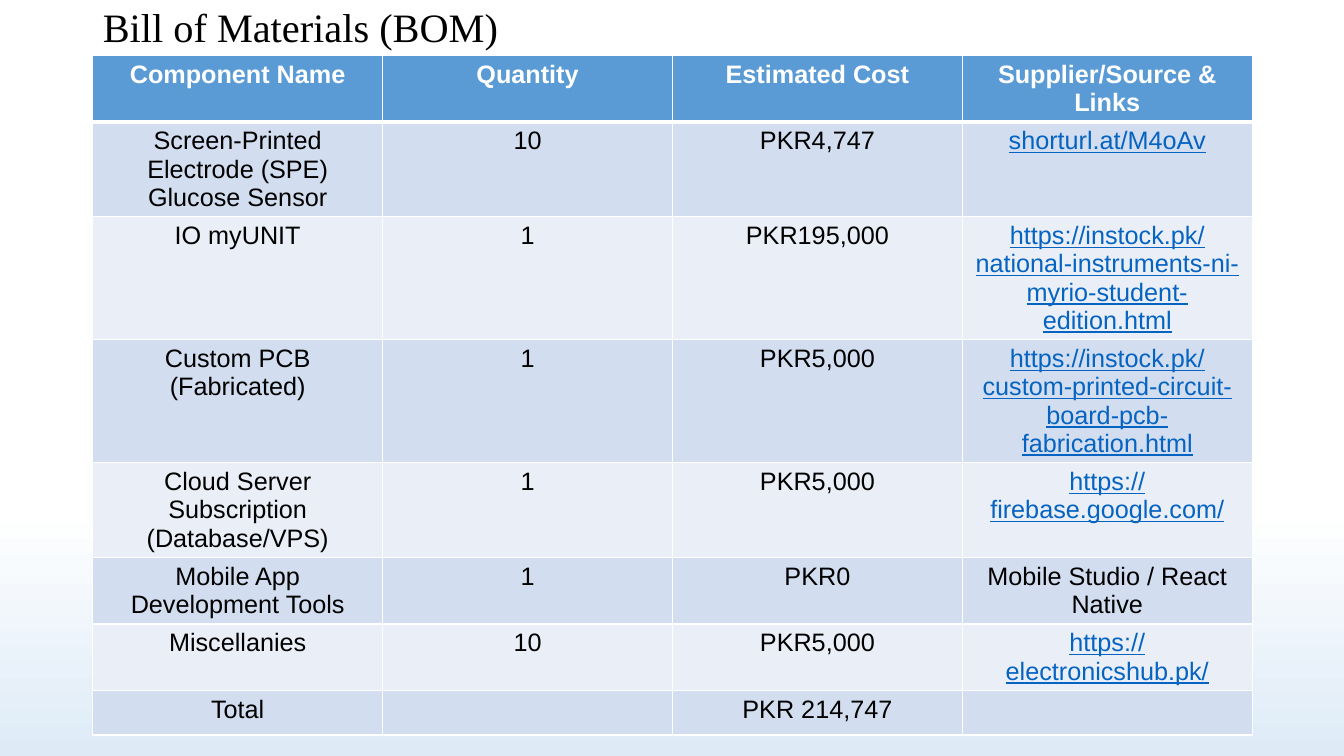
from lxml import etree
from pptx import Presentation
from pptx import util as u
from pptx.dml.color import RGBColor
from pptx.enum import text
from pptx.oxml.ns import qn

WHITE, BLACK, LINK = "FFFFFF", "000000", "0563C1"
HEADER, BANDS = "5B9BD5", ("D2DEEF", "EAEFF7")
LEFT, WIDTH = 0.92, 11.5

HEADINGS = ("Component Name", "Quantity", "Estimated Cost", "Supplier/Source & Links")
MATERIALS = [
    ("Screen-Printed Electrode (SPE) Glucose Sensor", "10", "PKR4,747", "shorturl.at/M4oAv"),
    ("IO myUNIT", "1", "PKR195,000",
     "https://instock.pk/national-instruments-ni-myrio-student-edition.html"),
    ("Custom PCB (Fabricated)", "1", "PKR5,000",
     "https://instock.pk/custom-printed-circuit-board-pcb-fabrication.html"),
    ("Cloud Server Subscription (Database/VPS)", "1", "PKR5,000", "https://firebase.google.com/"),
    ("Mobile App Development Tools", "1", "PKR0", "Mobile Studio / React Native"),
    ("Miscellanies", "10", "PKR5,000", "https://electronicshub.pk/"),
    ("Total", "", "PKR 214,747", ""),
]
ROW_HEIGHTS = (0.66, 0.94, 1.22, 1.22, 0.94, 0.66, 0.66, 0.44)


def rgb(value):
    return RGBColor.from_string(value)


def add_span(para, words, font, size, color, bold=False, underline=False):
    span = para.add_run()
    span.text = words
    span.font.name, span.font.size = font, u.Pt(size)
    span.font.color.rgb = rgb(color)
    span.font.bold, span.font.underline = bold, underline


def paint_background(page):
    fill = page.background.fill
    fill.gradient()
    fill.gradient_angle = 270
    for stop, (position, color) in zip(fill.gradient_stops, ((0.67, WHITE), (1, "DEEBF7"))):
        stop.position = position
        stop.color.rgb = rgb(color)


def place_title(page, left, top, width, height):
    title = page.shapes.title
    title.left, title.top = u.Inches(left), u.Inches(top)
    title.width, title.height = u.Inches(width), u.Inches(height)
    frame = title.text_frame
    frame.auto_size = text.MSO_AUTO_SIZE.NONE
    frame.vertical_anchor = text.MSO_ANCHOR.MIDDLE
    para = frame.paragraphs[0]
    para.alignment = text.PP_ALIGN.LEFT
    para.line_spacing = 0.9
    add_span(para, "Bill of Materials (BOM)", "Times New Roman", 28.8, BLACK)


def set_borders(cell, bottom):
    # Borders come before the fill in the cell properties
    props = cell._tc.get_or_add_tcPr()
    for place, (side, points) in enumerate(
            (("lnL", 1), ("lnR", 1), ("lnT", 1), ("lnB", bottom))):
        line = etree.Element(qn("a:" + side), w=str(u.Pt(points)))
        solid = etree.SubElement(line, qn("a:solidFill"))
        etree.SubElement(solid, qn("a:srgbClr"), val=WHITE)
        props.insert(place, line)


def fill_cell(cell, words, fill, color, header):
    cell.fill.solid()
    cell.fill.fore_color.rgb = rgb(fill)
    set_borders(cell, 3 if header else 1)
    para = cell.text_frame.paragraphs[0]
    para.alignment = text.PP_ALIGN.CENTER
    if words:
        add_span(para, words, "Arial", 18, color, bold=header, underline=color == LINK)


def place_materials(page, left, top, width):
    rows = [HEADINGS] + MATERIALS
    table = page.shapes.add_table(
        len(rows), len(HEADINGS), u.Inches(left), u.Inches(top),
        u.Inches(width), u.Inches(sum(ROW_HEIGHTS))).table
    table.horz_banding = False
    for row, height in zip(table.rows, ROW_HEIGHTS):
        row.height = u.Inches(height)
    for r, entries in enumerate(rows):
        header = r == 0
        fill = HEADER if header else BANDS[(r - 1) % 2]
        for c, words in enumerate(entries):
            is_link = words.startswith(("https://", "shorturl"))
            color = WHITE if header else LINK if is_link else BLACK
            fill_cell(table.cell(r, c), words, fill, color, header)


def main():
    deck = Presentation()
    deck.slide_width, deck.slide_height = u.Inches(13.33), u.Inches(7.5)
    page = deck.slides.add_slide(deck.slide_layouts.get_by_name("Title Only"))
    paint_background(page)
    place_title(page, LEFT, 0.1, WIDTH, 0.38)
    place_materials(page, LEFT, 0.55, WIDTH)
    deck.save("out.pptx")


if __name__ == "__main__":
    main()
